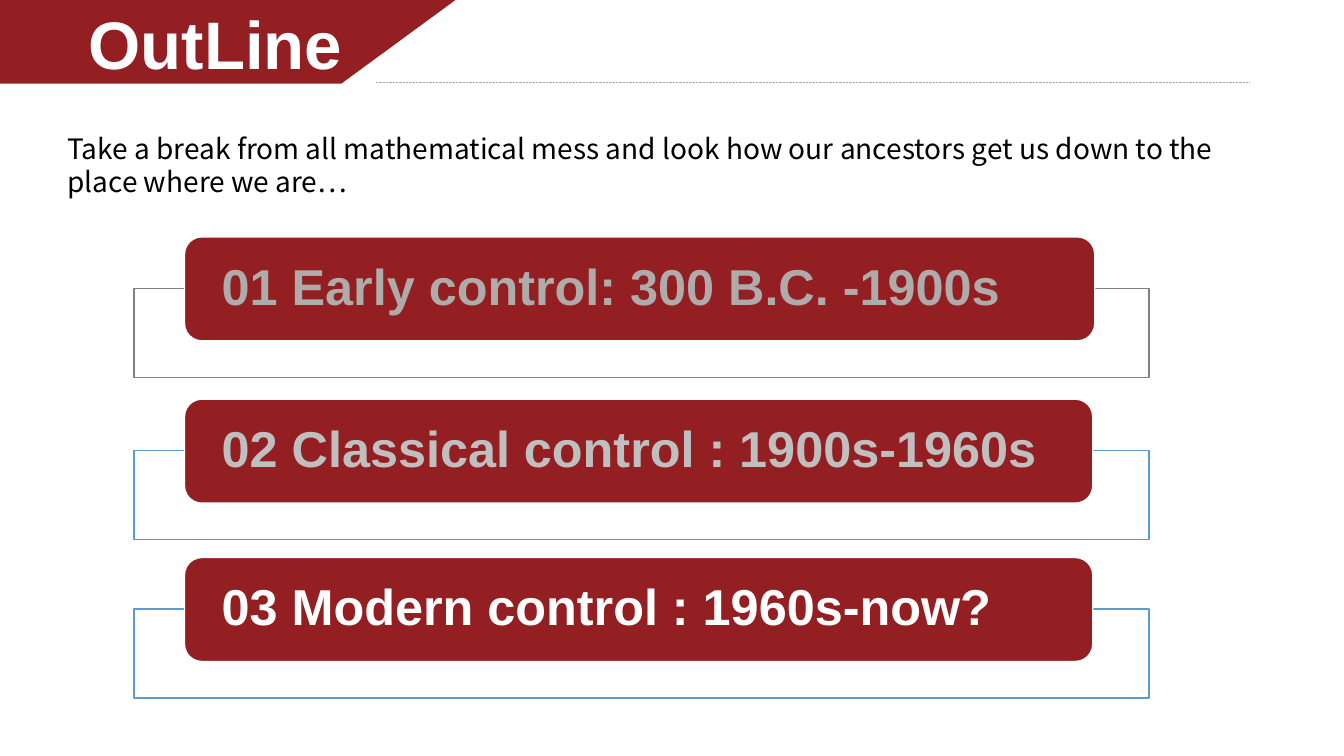
from dataclasses import dataclass

from lxml import etree
from pptx import Presentation
from pptx.dml.color import RGBColor
from pptx.enum import dml, shapes, text
from pptx.oxml.ns import qn
from pptx.util import Cm, Pt


@dataclass(frozen=True)
class Theme:
    red: str = "941F23"
    white: str = "FFFFFF"
    black: str = "000000"
    rule: str = "A6A6A6"
    gray: str = "808080"
    blue: str = "5B9BD5"
    heading_font: str = "Arial"
    body_font: str = "Noto Sans CJK SC"
    title_size: int = 48
    era_size: int = 36
    intro_size: int = 20


@dataclass(frozen=True)
class Era:
    label: str
    top: float
    width: float
    text_color: str
    frame_color: str


THEME = Theme()
ERAS = [
    Era("01 Early control: 300 B.C. -1900s", 5.97, 22.94, "AFABAB", THEME.gray),
    Era("02 Classical control : 1900s-1960s", 10.06, 22.89, "BFBFBF", THEME.blue),
    Era("03 Modern control : 1960s-now?", 14.05, 22.89, THEME.white, THEME.blue),
]


def add_box(s, kind, left: float, top: float, width: float, height: float,
            fill: str, line: str | None = None):
    sp = s.shapes.add_shape(kind, Cm(left), Cm(top), Cm(width), Cm(height))
    sp.shadow.inherit = False
    sp.fill.solid()
    sp.fill.fore_color.rgb = RGBColor.from_string(fill)
    if line:
        sp.line.color.rgb = RGBColor.from_string(line)
        sp.line.width = Pt(1)
    else:
        sp.line.fill.background()
    return sp


def write(sp, words: str, font: str, size: int, color: str, bold: bool,
          frame: dict, para: dict) -> None:
    tf = sp.text_frame
    for name, value in ({"word_wrap": True} | frame).items():
        setattr(tf, name, value)
    p = tf.paragraphs[0]
    for name, value in para.items():
        setattr(p, name, value)
    r = p.add_run()
    r.text = words
    for name, value in {"name": font, "size": Pt(size), "bold": bold}.items():
        setattr(r.font, name, value)
    r.font.color.rgb = RGBColor.from_string(color)


def add_era(s, era: Era) -> None:
    frame = add_box(s, shapes.MSO_SHAPE.RECTANGLE, 3.38, era.top + 1.3,
                    25.58, 2.24, THEME.white, era.frame_color)
    # 90 % opaque fill
    color = frame.fill._xPr.find(qn("a:solidFill"))[0]
    etree.SubElement(color, qn("a:alpha"), val="90000")

    bar = add_box(s, shapes.MSO_SHAPE.ROUNDED_RECTANGLE, 4.65, era.top,
                  era.width, 2.62, THEME.red, THEME.white)
    write(bar, era.label, THEME.heading_font, THEME.era_size, era.text_color, True,
          {"vertical_anchor": text.MSO_ANCHOR.MIDDLE, "margin_left": Cm(0.81),
           "margin_right": Cm(0.81), "margin_top": 0, "margin_bottom": 0},
          {"alignment": text.PP_ALIGN.LEFT, "line_spacing": 0.9})


def add_header(s) -> None:
    title = s.shapes.title
    banner = add_box(s, shapes.MSO_SHAPE.FLOWCHART_DATA, -2.92, 0, 14.4, 2.11, THEME.red)
    rule = s.shapes.add_connector(shapes.MSO_CONNECTOR.STRAIGHT,
                                  Cm(9.47), Cm(2.08), Cm(31.47), Cm(2.08))
    rule.line.color.rgb = RGBColor.from_string(THEME.rule)
    rule.line.width = Pt(0.5)
    rule.line.dash_style = dml.MSO_LINE.ROUND_DOT
    etree.SubElement(rule.line._ln.getparent(), qn("a:effectLst"))

    # The title lies in front of the banner
    for sp in (banner, rule):
        title._element.addprevious(sp._element)
    box = {"left": 0.94, "top": 0.15, "width": 8.99, "height": 2.11}
    for name, value in box.items():
        setattr(title, name, Cm(value))
    write(title, "OutLine", THEME.heading_font, THEME.title_size, THEME.white, True,
          {"vertical_anchor": text.MSO_ANCHOR.MIDDLE,
           "auto_size": text.MSO_AUTO_SIZE.NONE},
          {"alignment": text.PP_ALIGN.CENTER, "line_spacing": 0.9})


def add_intro(s) -> None:
    sp = s.shapes.add_textbox(Cm(1.45), Cm(3.12), Cm(30.61), Cm(1.96))
    write(sp, "Take a break from all mathematical mess and look how our ancestors "
              "get us down to the place where we are…",
          THEME.body_font, THEME.intro_size, THEME.black, False,
          {"margin_top": Cm(0.2)}, {"line_spacing": Pt(23.6)})


def main() -> None:
    prs = Presentation()
    prs.slide_width, prs.slide_height = Cm(33.87), Cm(19.05)
    s = prs.slides.add_slide(prs.slide_layouts[5])
    add_header(s)
    for era in ERAS:
        add_era(s, era)
    add_intro(s)
    prs.save("out.pptx")


if __name__ == "__main__":
    main()
